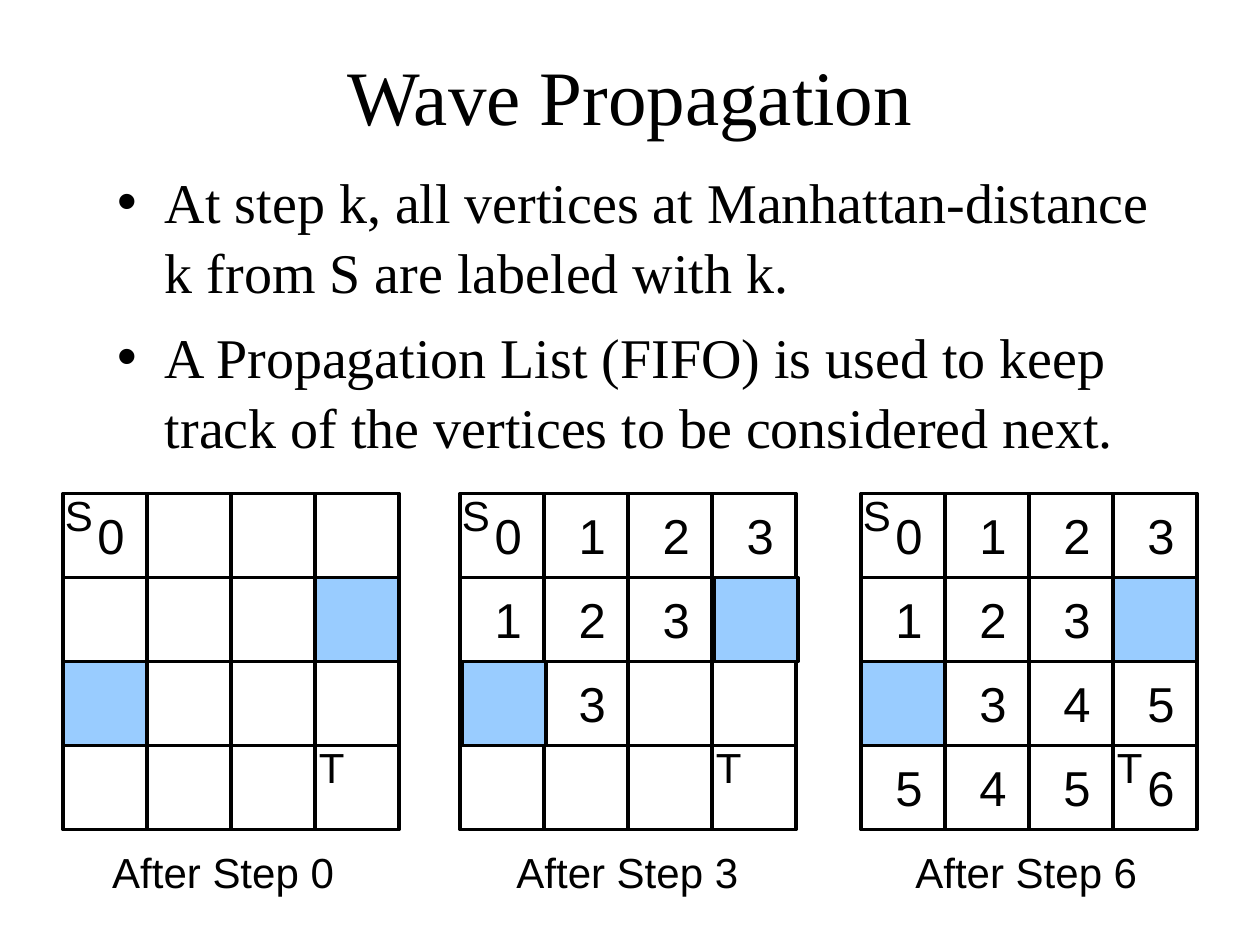
from dataclasses import dataclass

from pptx import Presentation
from pptx.dml.color import RGBColor
from pptx.enum.shapes import MSO_SHAPE as Shape
from pptx.enum.text import MSO_ANCHOR as Anchor, MSO_AUTO_SIZE as AutoSize, PP_ALIGN as Align
from pptx.util import Pt


@dataclass(frozen=True)
class Theme:
    ink: RGBColor = RGBColor(0x00, 0x00, 0x00)
    obstacle: RGBColor = RGBColor(0x99, 0xCC, 0xFF)
    serif: str = "Times New Roman"
    sans: str = "Arial"
    title_size: int = 44
    body_size: int = 32
    number_size: int = 28
    label_size: int = 24
    line_width: int = 2


theme = Theme()

presentation = Presentation()
presentation.slide_width, presentation.slide_height = Pt(720), Pt(540)
slide = presentation.slides.add_slide(presentation.slide_layouts[1])


def add_label(text, left, top, width, height, size):
    """Add a centred one-line text box."""
    box = slide.shapes.add_textbox(Pt(left), Pt(top), Pt(width), Pt(height))
    box.text_frame.word_wrap = False
    box.text_frame.text = text
    paragraph = box.text_frame.paragraphs[0]
    paragraph.alignment = Align.CENTER
    font = paragraph.runs[0].font
    font.name, font.size = theme.sans, Pt(size)
    font.color.rgb = theme.ink


def add_cell(left, top, fill=None):
    """Add one square of a grid, blue if it is an obstacle."""
    cell = slide.shapes.add_shape(Shape.RECTANGLE, Pt(left), Pt(top), Pt(CELL), Pt(CELL))
    cell.shadow.inherit = False
    cell.line.color.rgb = theme.ink
    cell.line.width = Pt(theme.line_width)
    if fill is None:
        cell.fill.background()
    else:
        cell.fill.solid()
        cell.fill.fore_color.rgb = fill


# Title and bullet list
title = slide.shapes.title
title.left, title.top, title.width, title.height = Pt(12), Pt(30), Pt(696), Pt(48)
title.text_frame.text = "Wave Propagation"
title.text_frame.vertical_anchor = Anchor.MIDDLE
title.text_frame.paragraphs[0].alignment = Align.CENTER

body = slide.placeholders[1]
body.left, body.top, body.width, body.height = Pt(60), Pt(90), Pt(612), Pt(432)
body.text_frame.text = (
    "At step k, all vertices at Manhattan-distance k from S are labeled with k.\n"
    "A Propagation List (FIFO) is used to keep track of the vertices to be considered next."
)
for paragraph in body.text_frame.paragraphs:
    paragraph.space_before = Pt(8)
    paragraph.line_spacing = 1.05

for placeholder, size in ((title, theme.title_size), (body, theme.body_size)):
    placeholder.text_frame.auto_size = AutoSize.NONE
    for paragraph in placeholder.text_frame.paragraphs:
        font = paragraph.runs[0].font
        font.name, font.size = theme.serif, Pt(size)
        font.color.rgb = theme.ink

# Distance of each vertex from S; "#" marks an obstacle
CELL = 48
GRID_TOP = 282
DISTANCES = ("0123", "123#", "#345", "5456")

# Step, grid left, obstacle shift, caption left
GRIDS = ((0, 36, 0, 57), (3, 262.9, 1.2, 288), (6, 492, 0, 516))

for step, grid_left, obstacle_shift, caption_left in GRIDS:
    # Cells, obstacles and the distances reached so far
    obstacles = []
    for row, distances in enumerate(DISTANCES):
        for column, distance in enumerate(distances):
            left, top = grid_left + column * CELL, GRID_TOP + row * CELL
            if distance == "#":
                obstacles.append((left + obstacle_shift, top))
            if distance != "#" or obstacle_shift:
                add_cell(left, top)
            if distance != "#" and int(distance) <= step:
                add_label(distance, left + 12.6, top + 3.5, 29.5, 41, theme.number_size)
    for left, top in obstacles:
        add_cell(left, top, theme.obstacle)

    # Source, target and caption
    add_label("S", grid_left - 6, GRID_TOP - 6, 30, 36, theme.label_size)
    add_label("T", grid_left + 3 * CELL - 5, GRID_TOP + 3 * CELL - 6, 29, 36, theme.label_size)
    add_label(f"After Step {step}", caption_left, 480, 141, 36, theme.label_size)

presentation.save("out.pptx")
